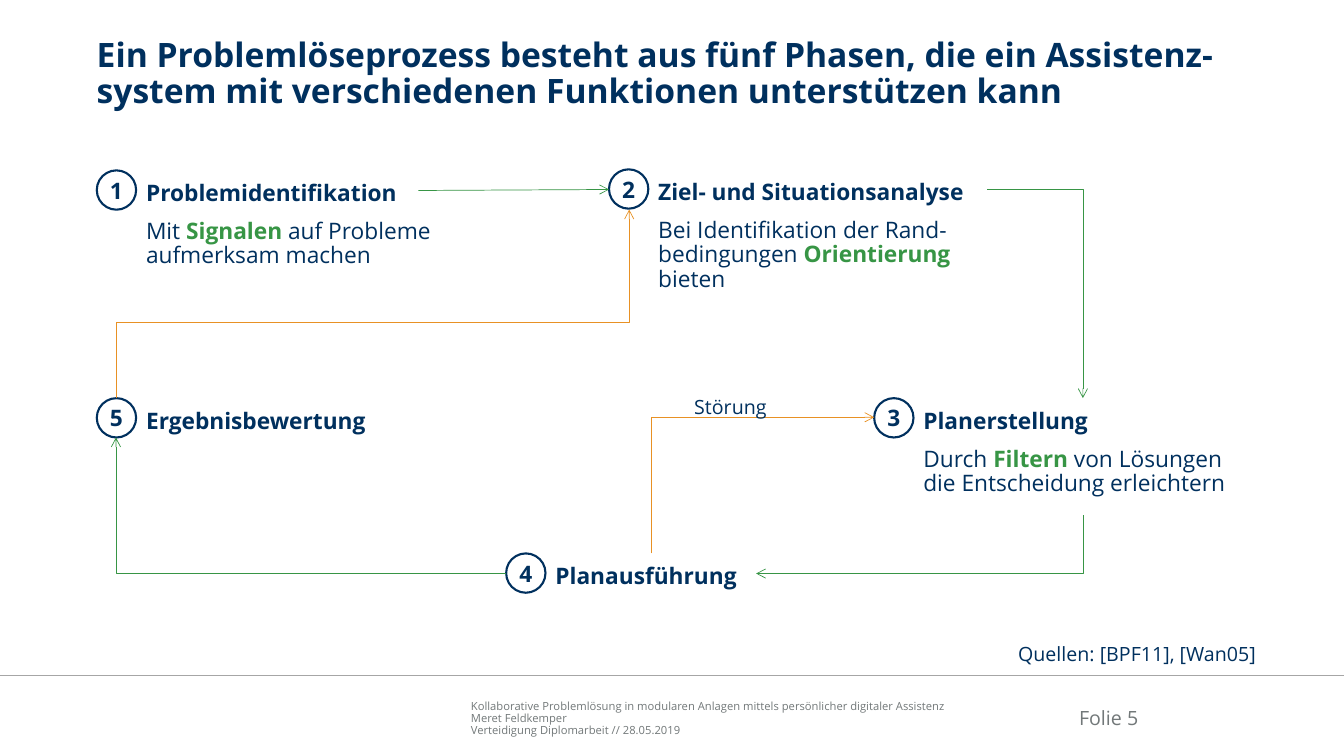
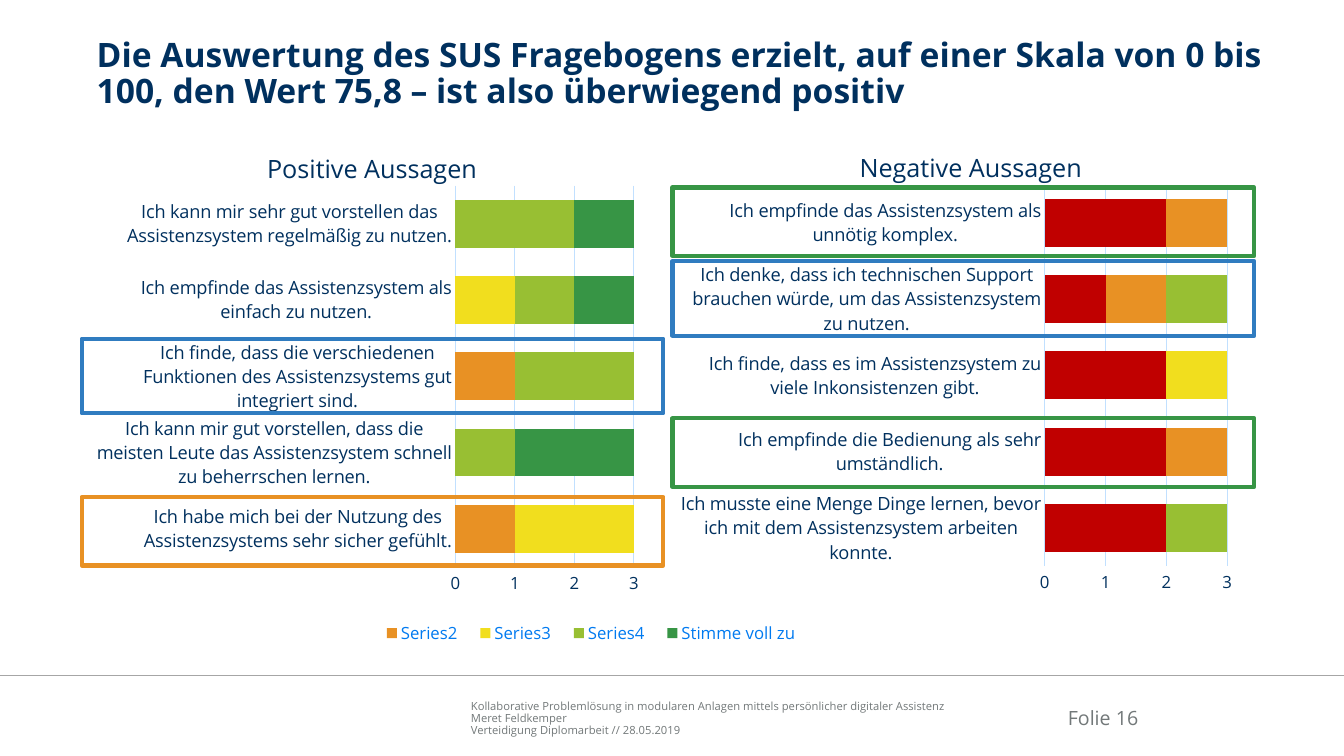
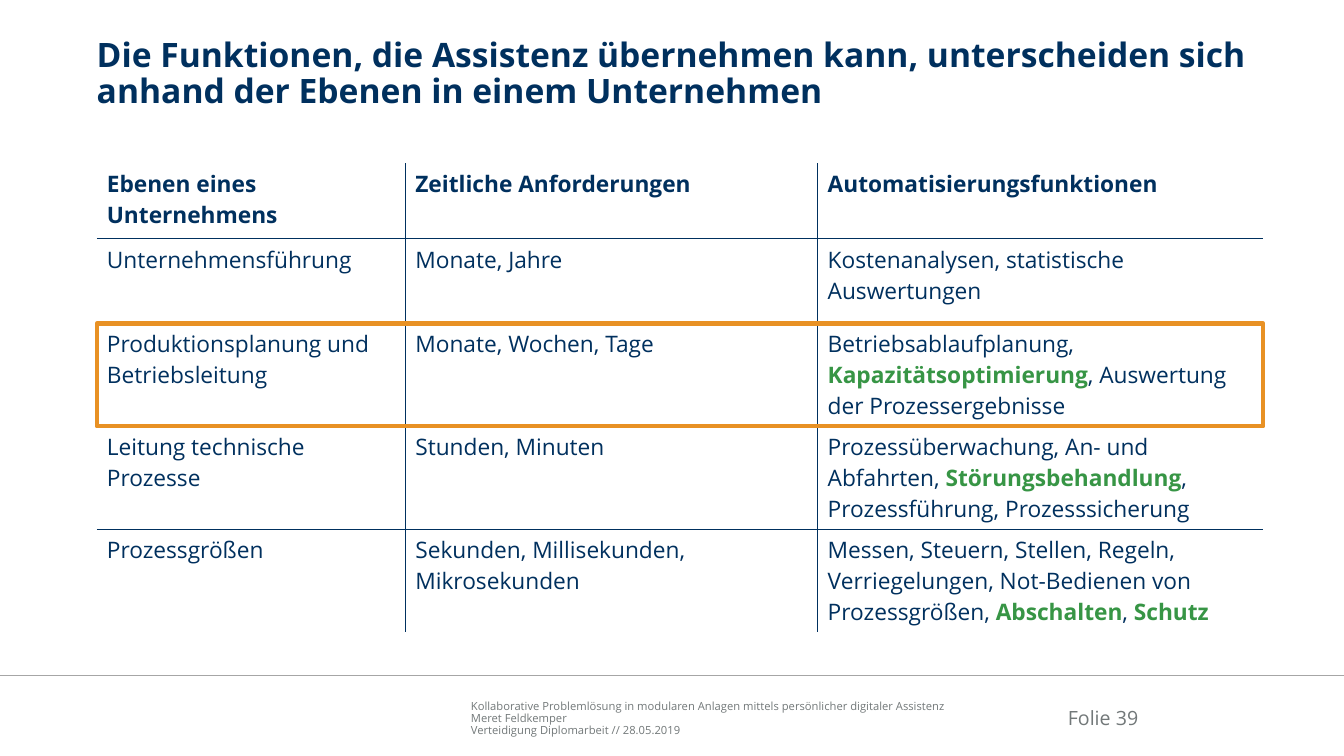
from lxml import etree
from pptx import Presentation
from pptx.chart.data import CategoryChartData
from pptx.dml.color import RGBColor
from pptx.enum import chart as charts, shapes, text
from pptx.oxml.ns import qn
from pptx.util import Inches, Pt

FONT = "Open Sans"
NAVY, GREEN, ORANGE, BLUE = "00305E", "379545", "E89124", "307CC0"
GREY, RULE, GRID, LEGEND = "727879", "A6A6A6", "C1E0FF", "007AF0"
SCALE = ["C00000", ORANGE, "F1DE1E", "98BF33", GREEN]
BODY = 16.2
LEFT, WIDTH = 0.96, 11.57
FOOTER = [
    "Kollaborative Problemlösung in modularen Anlagen mittels persönlicher digitaler Assistenz",
    "Meret Feldkemper",
    "Verteidigung Diplomarbeit // 28.05.2019",
]


def rgb(value):
    return RGBColor.from_string(value)


def set_font(font, size, color=NAVY, bold=False):
    font.name, font.size, font.bold = FONT, Pt(size), bold
    font.color.rgb = rgb(color)


def add_child(parent, tag, **attributes):
    return etree.SubElement(parent, qn(tag), {k: str(v) for k, v in attributes.items()})


def write(frame, lines, size=BODY, color=NAVY, bold=False, align=None, spacing=None):
    """Fill a text frame; words between asterisks are bold green."""
    frame.word_wrap = True
    for i, line in enumerate(lines):
        para = frame.paragraphs[0] if i == 0 else frame.add_paragraph()
        para.alignment = align
        para.line_spacing = spacing
        for j, part in enumerate(line.split("*")):
            if part:
                span = para.add_run()
                span.text = part
                marked = j % 2 == 1
                set_font(span.font, size, GREEN if marked else color, marked or bold)


def set_insets(frame, insets):
    frame.margin_left, frame.margin_top, frame.margin_right, frame.margin_bottom = map(
        Inches, insets)


def add_text(page, box, lines, insets=(0, 0, 0, 0), anchor=text.MSO_ANCHOR.TOP, **style):
    frame = page.shapes.add_textbox(*map(Inches, box)).text_frame
    set_insets(frame, insets)
    frame.vertical_anchor = anchor
    write(frame, lines, **style)


def add_outline(page, kind, box, color, weight):
    shape = page.shapes.add_shape(kind, *map(Inches, box))
    shape.shadow.inherit = False
    shape.fill.background()
    shape.line.color.rgb = rgb(color)
    shape.line.width = Pt(weight)
    return shape


def add_frame(page, box, color):
    add_outline(page, shapes.MSO_SHAPE.RECTANGLE, box, color, 3)


def add_line(page, start, end, color, weight, kind=shapes.MSO_CONNECTOR.STRAIGHT, arrow=True):
    line = page.shapes.add_connector(kind, *map(Inches, (*start, *end)))
    line.line.color.rgb = rgb(color)
    line.line.width = Pt(weight)
    properties = line._element.spPr
    if arrow:
        add_child(properties.find(qn("a:ln")), "a:tailEnd", type="arrow")
    add_child(properties, "a:effectLst")
    return line


def add_elbow(page, start, end, color, vertical_first=False, bend=None):
    """Right-angled arrow; bend is the share of the way at which a double elbow turns."""
    (x1, y1), (x2, y2) = start, end
    upward = y2 < y1
    w, h = abs(x2 - x1), abs(y2 - y1)
    if vertical_first:
        w, h = h, w
    left, top = (x1 + x2 - w) / 2, (y1 + y2 - h) / 2
    line = add_line(page, (left, top), (left + w, top + h), color, 0.5,
                    shapes.MSO_CONNECTOR.ELBOW)
    properties = line._element.spPr
    transform = properties.find(qn("a:xfrm"))
    angle = 90 if vertical_first else 180 * upward
    transform.set("rot", str(angle * 60000))
    if vertical_first and upward:
        transform.set("flipH", "1")
        transform.set("flipV", "1")
    geometry = properties.find(qn("a:prstGeom"))
    if bend is None:
        geometry.set("prst", "bentConnector2")
    else:
        guides = geometry.find(qn("a:avLst"))
        if guides is None:
            guides = add_child(geometry, "a:avLst")
        add_child(guides, "a:gd", name="adj1", fmla=f"val {round(bend * 100000)}")


# Shared page: title, rule, footer, page number
def add_page(deck, title, number):
    page = deck.slides.add_slide(deck.slide_layouts[6])
    bottom = text.MSO_ANCHOR.BOTTOM
    add_text(page, (4.67, 6.91, 4.91, 0.4), FOOTER, anchor=bottom, size=8, color=GREY,
             spacing=0.9)
    add_line(page, (0, 6.7), (13.33, 6.7), RULE, 1, arrow=False)
    add_text(page, (10.3, 6.87, 0.99, 0.37), [f"Folie {number}"], anchor=bottom, size=14,
             color=GREY, align=text.PP_ALIGN.RIGHT)
    add_text(page, (LEFT, 0.38, WIDTH, 0.75), [title], size=24, bold=True, spacing=0.9)
    return page


# Process slide
def add_phase(page, x, y, number, heading, width, body=None):
    size = 0.39
    insets = (0.1, 0.1, 0.1, 0.05)
    ring = add_outline(page, shapes.MSO_SHAPE.OVAL, (x, y, size, size), NAVY, 1.5)
    set_insets(ring.text_frame, (0, 0, 0, 0))
    ring.text_frame.vertical_anchor = text.MSO_ANCHOR.MIDDLE
    write(ring.text_frame, [str(number)], bold=True, align=text.PP_ALIGN.CENTER)
    if body:
        add_text(page, (x + size, y + size, width, 0.9), [body], insets, spacing=0.9)
    add_text(page, (x + size, y, width, size), [heading], insets,
             text.MSO_ANCHOR.MIDDLE, bold=True)


def build_process(deck):
    page = add_page(deck, "Ein Problemlöseprozess besteht aus fünf Phasen, die ein Assistenz-"
                    "system mit verschiedenen Funktionen unterstützen kann", 5)
    phases = [
        (0.96, 1.69, "Problemidentifikation", 3.15,
         "Mit *Signalen *auf Probleme aufmerksam machen"),
        (6.04, 1.68, "Ziel- und Situationsanalyse", 3.56,
         "Bei Identifikation der Rand-bedingungen *Orientierung *bieten"),
        (8.67, 3.95, "Planerstellung", 3.34,
         "Durch *Filtern *von Lösungen die Entscheidung erleichtern"),
        (5.02, 5.49, "Planausführung", 2.08, None),
        (0.96, 3.95, "Ergebnisbewertung", 2.49, None),
    ]
    for number, (x, y, heading, width, body) in enumerate(phases, 1):
        add_phase(page, x, y, number, heading, width, body)

    # Regular course in green, returns in orange
    add_line(page, (4.15, 1.89), (6.04, 1.88), GREEN, 0.5)
    add_elbow(page, (9.79, 1.88), (10.74, 3.95), GREEN)
    add_elbow(page, (10.74, 5.11), (7.5, 5.69), GREEN, vertical_first=True)
    add_elbow(page, (6.46, 5.49), (8.67, 4.14), ORANGE, vertical_first=True)
    add_elbow(page, (5.02, 5.69), (1.15, 4.34), GREEN)
    add_elbow(page, (1.15, 3.95), (6.24, 2.08), ORANGE, vertical_first=True, bend=0.4)

    add_text(page, (6.29, 3.75, 1.91, 0.38), ["Störung"], (0.1, 0.05, 0.1, 0.05), size=14,
             align=text.PP_ALIGN.CENTER, spacing=1.5)
    add_text(page, (10, 6.32, 3.24, 0.34), ["Quellen: [BPF11], [Wan05]"],
             (0.1, 0.05, 0.1, 0.05), size=14)


# Survey slide
def lay_out(element, index, inner=False, **place):
    """Give a chart part a manual position in shares of the chart."""
    for old in element.findall(qn("c:layout")):
        element.remove(old)
    layout = etree.Element(qn("c:layout"))
    manual = add_child(layout, "c:manualLayout")
    if inner:
        add_child(manual, "c:layoutTarget", val="inner")
    for key in "xy":
        add_child(manual, f"c:{key}Mode", val="edge")
    for key, value in place.items():
        add_child(manual, f"c:{key}", val=value)
    element.insert(index, layout)


def add_survey(page, box, title, title_x, plot_x, names, answers):
    data = CategoryChartData()
    data.categories = list(answers)
    for name, values in zip(names, zip(*answers.values())):
        data.add_series(name, values)
    chart = page.shapes.add_chart(charts.XL_CHART_TYPE.BAR_STACKED, *map(Inches, box),
                                  data).chart
    set_font(chart.font, 10)
    background = etree.Element(qn("c:spPr"))
    add_child(background, "a:noFill")
    add_child(add_child(background, "a:ln"), "a:noFill")
    chart.element.find(qn("c:chart")).addnext(background)

    # Title and plot area
    chart.has_title = True
    write(chart.chart_title.text_frame, [title], size=18)
    chart.chart_title.include_in_layout = False
    lay_out(chart.chart_title._element, 1, x=title_x, y=0.04)
    lay_out(chart.element.find(".//" + qn("c:plotArea")), 0, inner=True,
            x=plot_x, y=0.12, w=0.25, h=0.72)

    # Bars
    plot = chart.plots[0]
    plot.gap_width, plot.overlap, plot.vary_by_categories = 60, 100, False
    for series, color in zip(plot.series, SCALE):
        series.format.fill.solid()
        series.format.fill.fore_color.rgb = rgb(color)

    # Axes
    statements, counts = chart.category_axis, chart.value_axis
    for axis, size in ((statements, 13), (counts, 12)):
        axis.major_tick_mark = axis.minor_tick_mark = charts.XL_TICK_MARK.NONE
        set_font(axis.tick_labels.font, size)
    counts.minimum_scale, counts.maximum_scale, counts.major_unit = 0, 3, 1
    counts.has_major_gridlines = True
    for line in (statements.format.line, counts.major_gridlines.format.line):
        line.color.rgb = rgb(GRID)
        line.width = Pt(0.75)
    counts.format.line.fill.background()
    chart.has_legend = False
    return chart


def add_legend(chart, hidden):
    chart.has_legend = True
    legend = chart.legend
    legend.position = charts.XL_LEGEND_POSITION.BOTTOM
    legend.include_in_layout = False
    set_font(legend.font, 12, LEGEND)
    lay_out(legend._element, 1, x=0.38, y=0.95, w=0.62, h=0.05)
    entry = etree.Element(qn("c:legendEntry"))
    add_child(entry, "c:idx", val=hidden)
    add_child(entry, "c:delete", val=1)
    legend._element.insert(1, entry)


def build_survey(deck):
    page = add_page(deck, "Die Auswertung des SUS Fragebogens erzielt, auf einer Skala von 0 bis "
                    "100, den Wert 75,8 – ist also überwiegend positiv", 16)
    no = None
    positive = {
        "Ich habe mich bei der Nutzung des Assistenzsystems sehr sicher gefühlt.":
            (no, 1, 2, no, no),
        "Ich kann mir gut vorstellen, dass die meisten Leute das Assistenzsystem schnell "
        "zu beherrschen lernen.": (no, no, no, 1, 2),
        "Ich finde, dass die verschiedenen Funktionen des Assistenzsystems gut "
        "integriert sind.": (no, 1, no, 2, no),
        "Ich empfinde das Assistenzsystem als einfach zu nutzen.": (no, no, 1, 1, 1),
        "Ich kann mir sehr gut vorstellen das Assistenzsystem regelmäßig zu nutzen.":
            (no, no, no, 2, 1),
    }
    negative = {
        "Ich musste eine Menge Dinge lernen, bevor ich mit dem Assistenzsystem arbeiten "
        "konnte.": (2, no, no, 1, no),
        "Ich empfinde die Bedienung als sehr umständlich.": (2, 1, no, no, no),
        "Ich finde, dass es im Assistenzsystem zu viele Inkonsistenzen gibt.":
            (2, no, 1, no, no),
        "Ich denke, dass ich technischen Support brauchen würde, um das Assistenzsystem "
        "zu nutzen.": (1, 1, no, 1, no),
        "Ich empfinde das Assistenzsystem als unnötig komplex.": (2, 1, no, no, no),
    }
    names = ["Stimme gar nicht zu", "Series2", "Series3", "Series4", "Stimme voll zu"]
    chart = add_survey(page, (0.96, 1.21, 7.1, 5.26), "Positive Aussagen", 0.23, 0.5,
                       names, positive)
    add_legend(chart, hidden=4)
    add_survey(page, (6.67, 1.2, 7.24, 5.26), "Negative Aussagen", 0.25, 0.51,
               [f"Series {n}" for n in range(1, 6)], negative)

    # Highlighted statements
    for x, y, height, color in [
        (6.67, 1.86, 0.68, GREEN), (6.67, 4.15, 0.68, GREEN), (0.81, 4.93, 0.68, ORANGE),
        (6.67, 2.59, 0.74, BLUE), (0.81, 3.36, 0.74, BLUE),
    ]:
        add_frame(page, (x, y, 5.77, height), color)


# Table slide
def set_borders(cell, **sides):
    """Draw the cell sides that are true and clear the others."""
    properties = cell._tc.get_or_add_tcPr()
    for index, (side, drawn) in enumerate(sides.items()):
        line = etree.Element(qn(f"a:ln{side}"), {"w": str(Pt(1))})
        if drawn:
            add_child(add_child(line, "a:solidFill"), "a:srgbClr", val=NAVY)
        else:
            add_child(line, "a:noFill")
        properties.insert(index, line)


def add_level_table(page, left, top, widths, heights, rows):
    table = page.shapes.add_table(len(rows), len(widths), Inches(left), Inches(top),
                                  Inches(sum(widths)), Inches(sum(heights))).table
    table.first_row = table.horz_banding = False
    for column, width in zip(table.columns, widths):
        column.width = Inches(width)
    for r, (row, height) in enumerate(zip(rows, heights)):
        table.rows[r].height = Inches(height)
        for c, content in enumerate(row):
            cell = table.cell(r, c)
            write(cell.text_frame, [content], bold=r == 0)
            cell.fill.background()
            set_borders(cell, L=c > 0, R=c < len(widths) - 1, T=r > 0, B=r < len(rows) - 1)


def build_levels(deck):
    page = add_page(deck, "Die Funktionen, die Assistenz übernehmen kann, unterscheiden sich "
                    "anhand der Ebenen in einem Unternehmen", 39)
    rows = [
        ("Ebenen eines Unternehmens", "Zeitliche Anforderungen", "Automatisierungsfunktionen"),
        ("Unternehmensführung", "Monate, Jahre", "Kostenanalysen, statistische Auswertungen"),
        ("Produktionsplanung und Betriebsleitung", "Monate, Wochen, Tage",
         "Betriebsablaufplanung, *Kapazitätsoptimierung*, Auswertung der Prozessergebnisse"),
        ("Leitung technische Prozesse", "Stunden, Minuten",
         "Prozessüberwachung, An- und Abfahrten, *Störungsbehandlung*, Prozessführung, "
         "Prozesssicherung"),
        ("Prozessgrößen", "Sekunden, Millisekunden, Mikrosekunden",
         "Messen, Steuern, Stellen, Regeln, Verriegelungen, Not-Bedienen von Prozessgrößen, "
         "*Abschalten*, *Schutz*"),
    ]
    heights = [0.75, 0.84, 1.02, 1.02, 1.02]
    top = 1.62
    add_level_table(page, LEFT, top, [3.06, 4.09, 4.42], heights, rows)
    add_frame(page, (LEFT, top + sum(heights[:2]), WIDTH, heights[2]), ORANGE)


def main():
    deck = Presentation()
    deck.slide_width, deck.slide_height = Inches(13.33), Inches(7.5)
    build_process(deck)
    build_survey(deck)
    build_levels(deck)
    deck.save("out.pptx")


if __name__ == "__main__":
    main()
